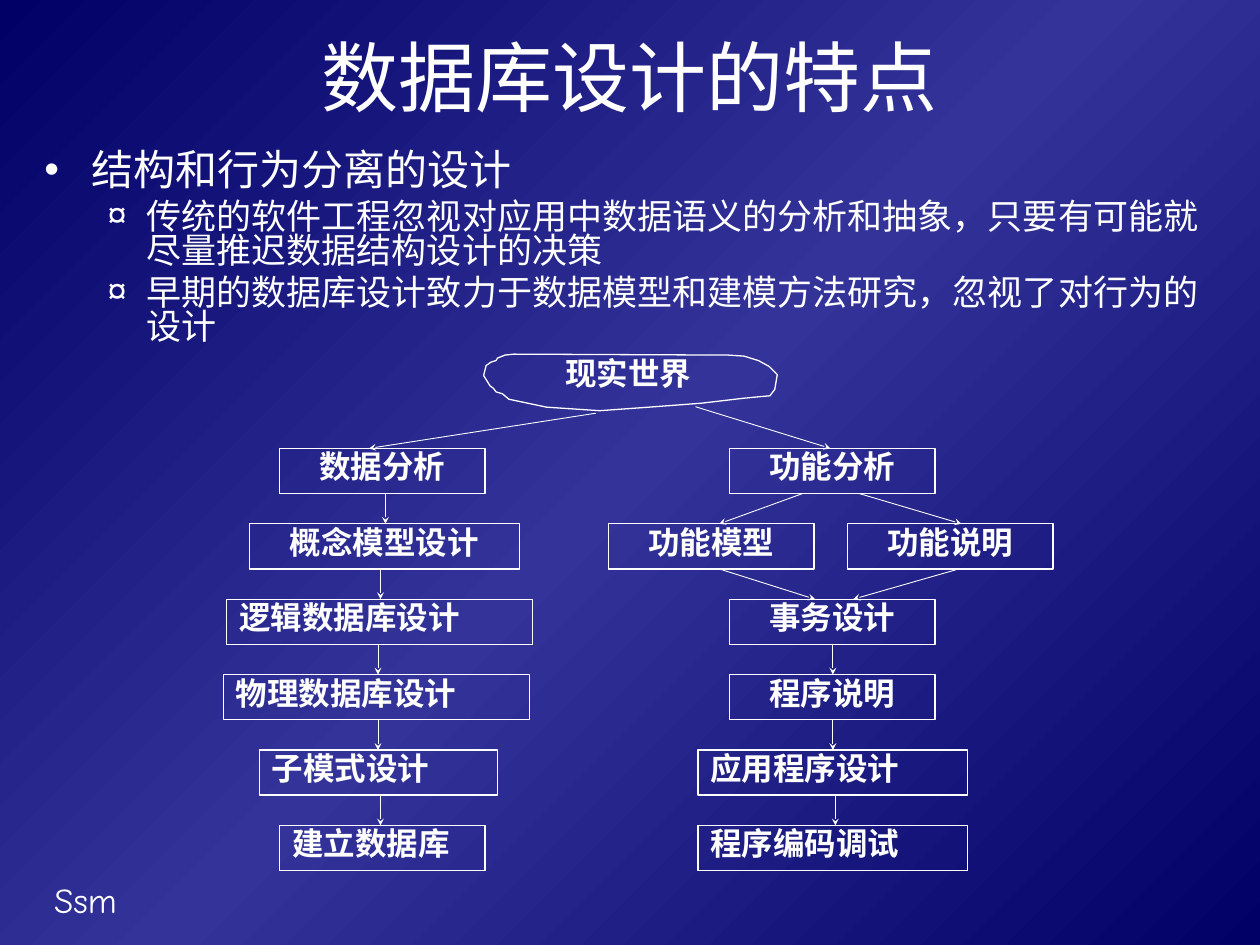
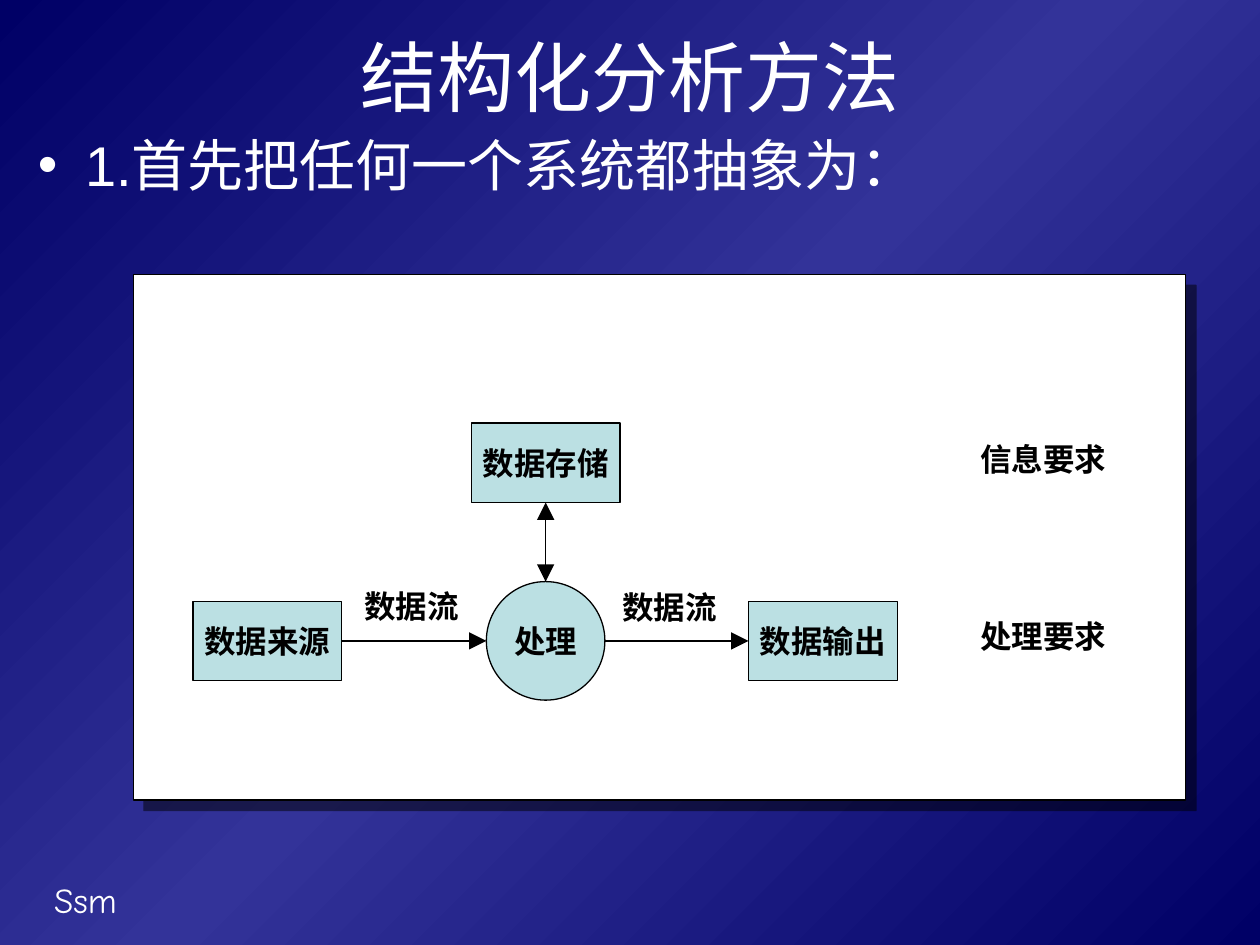
from dataclasses import dataclass

from lxml import etree
from pptx import Presentation
from pptx.dml.color import RGBColor
from pptx.enum.shapes import MSO_CONNECTOR, MSO_SHAPE
from pptx.enum.text import MSO_ANCHOR, MSO_AUTO_SIZE, PP_ALIGN
from pptx.oxml import parse_xml
from pptx.oxml.ns import nsdecls, qn
from pptx.util import Cm, Pt

RECT, OVAL = MSO_SHAPE.RECTANGLE, MSO_SHAPE.OVAL
LINE = MSO_CONNECTOR.STRAIGHT
TOP, MIDDLE = MSO_ANCHOR.TOP, MSO_ANCHOR.MIDDLE
LEFT, CENTER, JUSTIFY = PP_ALIGN.LEFT, PP_ALIGN.CENTER, PP_ALIGN.JUSTIFY
FIXED = MSO_AUTO_SIZE.NONE


@dataclass(frozen=True)
class Theme:
    """Colours, fonts and type sizes of the deck."""

    navy: str = "000066"
    blue: str = "333399"
    white: str = "FFFFFF"
    black: str = "000000"
    aqua: str = "BBE0E3"
    sans: str = "Arial"
    serif: str = "Times New Roman"
    comic: str = "Comic Neue"
    title: int = 44
    lead: int = 32
    head: int = 24
    small: int = 20
    label: int = 18
    thin: float = 0.5
    rule: float = 0.75


THEME = Theme()

POINTS = [
    (0, "结构和行为分离的设计", THEME.head, 0),
    (1, "传统的软件工程忽视对应用中数据语义的分析和抽象，只要有可能就尽量推迟数据结构设计的决策",
     THEME.small, 5),
    (1, "早期的数据库设计致力于数据模型和建模方法研究，忽视了对行为的设计",
     THEME.small, 5),
]
LEVELS = [("•", 0.95, -0.95), ("¤", 2.06, -0.79)]

CLOUD = [
    (0.28, 0.08), (0.43, 0.02), (0.61, 0), (4.93, 0.02), (5.25, 0.04),
    (5.54, 0.13), (5.76, 0.25), (5.92, 0.41), (5.87, 0.71), (5.77, 0.84),
    (5.54, 0.86), (5.23, 0.89), (4.39, 0.99), (3.33, 1.07), (2.34, 1.14),
    (1.27, 1.07), (0.51, 0.91), (0.38, 0.8), (0.25, 0.76), (0.2, 0.69),
    (0.13, 0.64), (0, 0.43), (0.05, 0.23), (0.15, 0.16), (0.25, 0.13),
]
STEPS = [
    ("数据分析", 0, 1.14, 4.14, CENTER),
    ("概念模型设计", 1, 0.53, 5.44, CENTER),
    ("逻辑数据库设计", 2, 0.07, 6.17, JUSTIFY),
    ("物理数据库设计", 3, 0, 6.17, JUSTIFY),
    ("子模式设计", 4, 0.73, 4.8, JUSTIFY),
    ("建立数据库", 5, 1.14, 4.14, JUSTIFY),
    ("功能分析", 0, 10.21, 4.14, CENTER),
    ("功能模型", 1, 7.77, 4.14, CENTER),
    ("功能说明", 1, 12.59, 4.14, CENTER),
    ("事务设计", 2, 10.21, 4.14, CENTER),
    ("程序说明", 3, 10.21, 4.14, CENTER),
    ("应用程序设计", 4, 9.57, 5.44, JUSTIFY),
    ("程序编码调试", 5, 9.57, 5.44, JUSTIFY),
]
LINKS = [
    (0, 3.27, 3.27), (1, 3.17, 3.17), (2, 3.12, 3.12), (3, 3.12, 3.12),
    (4, 3.17, 3.17), (0, 11.68, 10), (0, 12.82, 14.88), (1, 10, 11.93),
    (1, 14.83, 12.7), (2, 12.29, 12.29), (3, 12.29, 12.29), (4, 12.34, 12.34),
]


def rgb(code):
    """Turn a hex code into a colour."""
    return RGBColor.from_string(code)


def style(para, size, font, color, bold=False, align=LEFT, space=1.0, gap=0):
    """Format a paragraph and its runs."""
    para.alignment = align
    para.line_spacing = space
    para.space_before = Pt(gap)
    for run in para.runs:
        run.font.size = Pt(size)
        run.font.name = font
        run.font.bold = bold
        run.font.color.rgb = rgb(color)


def write(shape, text, size, font, color, anchor=TOP, wrap=True, **look):
    """Put one styled line of text in a shape."""
    frame = shape.text_frame
    frame.word_wrap = wrap
    frame.auto_size = FIXED
    frame.vertical_anchor = anchor
    frame.text = text
    style(frame.paragraphs[0], size, font, color, **look)


def place(shape, box):
    """Move a shape to a box given in centimetres."""
    shape.left, shape.top, shape.width, shape.height = map(Cm, box)


def shift(box, x, y, wide, high):
    """Return an inner box relative to the corner of an outer one."""
    return box[0] + x, box[1] + y, wide, high


def draw(slide, kind, box, line, fill=None):
    """Add a preset shape with a plain outline."""
    shape = slide.shapes.add_shape(kind, *map(Cm, box))
    shape.shadow.inherit = False
    paint(shape, line, fill)
    return shape


def paint(shape, line, fill=None):
    """Set the fill and outline of a shape."""
    if fill:
        shape.fill.solid()
        shape.fill.fore_color.rgb = rgb(fill)
    else:
        shape.fill.background()
    shape.line.color.rgb = rgb(line)
    shape.line.width = Pt(THEME.rule)


def arrow(slide, box, start, end, color, width, tip, size, ends=("tailEnd",)):
    """Join two points of a box with an arrow."""
    x, y = box[:2]
    link = slide.shapes.add_connector(
        LINE, Cm(x + start[0]), Cm(y + start[1]), Cm(x + end[0]), Cm(y + end[1]))
    link.line.color.rgb = rgb(color)
    link.line.width = Pt(width)
    props = link.element.spPr
    for name in ends:
        etree.SubElement(props.find(qn("a:ln")), qn("a:" + name),
                         type=tip, w=size, len=size)
    etree.SubElement(props, qn("a:effectLst"))


def backdrop(master):
    """Give the master its diagonal gradient."""
    master.background.fill.gradient()
    old = master.element.find(".//" + qn("a:gradFill"))
    stops = ((0, THEME.navy), (50, THEME.blue), (100, THEME.navy))
    marks = "".join(
        f'<a:gs pos="{pos * 1000}"><a:srgbClr val="{code}"/></a:gs>'
        for pos, code in stops)
    new = parse_xml(
        f'<a:gradFill {nsdecls("a")} rotWithShape="0"><a:gsLst>{marks}</a:gsLst>'
        '<a:lin ang="2700000" scaled="0"/></a:gradFill>')
    old.getparent().replace(old, new)


def bullets(shape, box, items, space):
    """Fill the body placeholder with a bulleted list."""
    place(shape, box)
    frame = shape.text_frame
    frame.auto_size = FIXED
    frame.text = "\n".join(item[1] for item in items)
    for para, (level, _, size, gap) in zip(frame.paragraphs, items):
        mark, left, hang = LEVELS[level]
        para.level = level
        props = para._p.get_or_add_pPr()
        props.set("marL", str(Cm(left)))
        props.set("indent", str(Cm(hang)))
        tint = etree.SubElement(props, qn("a:buClr"))
        etree.SubElement(tint, qn("a:srgbClr"), val=THEME.white)
        etree.SubElement(props, qn("a:buChar"), char=mark)
        style(para, size, THEME.sans, THEME.white, space=space, gap=gap)


def base(deck, title, box, items, space=1.0):
    """Add a slide with title, list and footer."""
    slide = deck.slides.add_slide(deck.slide_layouts[1])
    head, body = slide.placeholders
    place(head, (1.27, 0.43, 22.86, 2.21))
    write(head, title, THEME.title, THEME.sans, THEME.white, MIDDLE, align=CENTER)
    bullets(body, box, items, space)
    foot = slide.shapes.add_textbox(*map(Cm, (0.84, 17.58, 5.28, 1.12)))
    write(foot, "Ssm", THEME.small, THEME.comic, THEME.white)
    return slide


def flow(slide, box):
    """Draw the two design chains under the real world."""
    first, pitch, high = 1.9, 1.52, 0.91
    look = dict(size=THEME.label, font=THEME.serif, color=THEME.white,
                bold=True, space=0.8)
    pen = dict(color=THEME.white, width=THEME.thin, tip="stealth", size="sm")
    dots = [(Cm(box[0] + 5.25 + x), Cm(box[1] + y)) for x, y in CLOUD]
    maker = slide.shapes.build_freeform(*dots[0])
    maker.add_line_segments(dots[1:], close=True)
    cloud = maker.convert_to_shape()
    cloud.shadow.inherit = False
    paint(cloud, THEME.white)
    world = slide.shapes.add_textbox(*map(Cm, shift(box, 6.17, 0.02, 3.99, 1.09)))
    write(world, "现实世界", align=CENTER, **look)
    for text, row, x, wide, align in STEPS:
        part = shift(box, x, first + row * pitch, wide, high)
        write(draw(slide, RECT, part, THEME.white), text, align=align, **look)
    for start, end in (((7.51, 1.19), 2.94), ((9.52, 1.06), 12.24)):
        arrow(slide, box, start, (end, first), **pen)
    for row, start, end in LINKS:
        top = first + row * pitch
        arrow(slide, box, (start, top + high), (end, top + pitch), **pen)


def panel(slide, box):
    """Draw the white panel with the data flow model."""
    board = draw(slide, RECT, box, THEME.black, THEME.white)
    glow = board.element.spPr.find(qn("a:effectLst"))
    glow.append(parse_xml(
        f'<a:outerShdw {nsdecls("a")} dist="{Pt(8.5)}" dir="2700000" algn="ctr" '
        f'rotWithShape="0"><a:srgbClr val="{THEME.black}"><a:alpha val="50000"/>'
        '</a:srgbClr></a:outerShdw>'))
    look = dict(size=THEME.label, font=THEME.sans, color=THEME.black, bold=True)
    pen = dict(color=THEME.black, width=THEME.rule, tip="triangle", size="lg")
    wide, high, disc = 3, 1.6, 2.39
    mid, axis, store = 8.31, 7.38, 3.79
    source, out = 2.7, 13.9
    nodes = [
        (OVAL, "处理", mid, axis, disc, disc),
        (RECT, "数据来源", source, axis, wide, high),
        (RECT, "数据输出", out, axis, wide, high),
        (RECT, "数据存储", mid, store, wide, high),
    ]
    for kind, text, x, y, w, h in nodes:
        part = shift(box, x - w / 2, y - h / 2, w, h)
        node = draw(slide, kind, part, THEME.black, THEME.aqua)
        write(node, text, anchor=MIDDLE, wrap=False, align=CENTER, **look)
    arrow(slide, box, (source + wide / 2, axis), (mid - disc / 2, axis), **pen)
    arrow(slide, box, (mid + disc / 2, axis), (out - wide / 2, axis), **pen)
    arrow(slide, box, (mid, store + high / 2), (mid, axis - disc / 2),
          ends=("headEnd", "tailEnd"), **pen)
    notes = [("信息要求", 16.82, 3.2), ("处理要求", 16.82, 6.78),
             ("数据流", 9.6, 6.19), ("数据流", 4.4, 6.17)]
    for text, x, y in notes:
        note = slide.shapes.add_textbox(*map(Cm, shift(box, x, y, 3.99, 1.02)))
        write(note, text, **look)


def main():
    """Build and save the deck."""
    deck = Presentation()
    deck.slide_width, deck.slide_height = Cm(25.4), Cm(19.05)
    backdrop(deck.slide_master)
    slide = base(deck, "数据库设计的特点", (0.64, 2.97, 24.33, 4.57), POINTS, 0.8)
    flow(slide, (4.5, 7.14))
    lead = [(0, "1.首先把任何一个系统都抽象为：", THEME.lead, 0)]
    slide = base(deck, "结构化分析方法", (0.51, 2.51, 24.33, 14.6), lead)
    panel(slide, (2.69, 5.54, 21.21, 10.59))
    deck.save("out.pptx")


if __name__ == "__main__":
    main()
